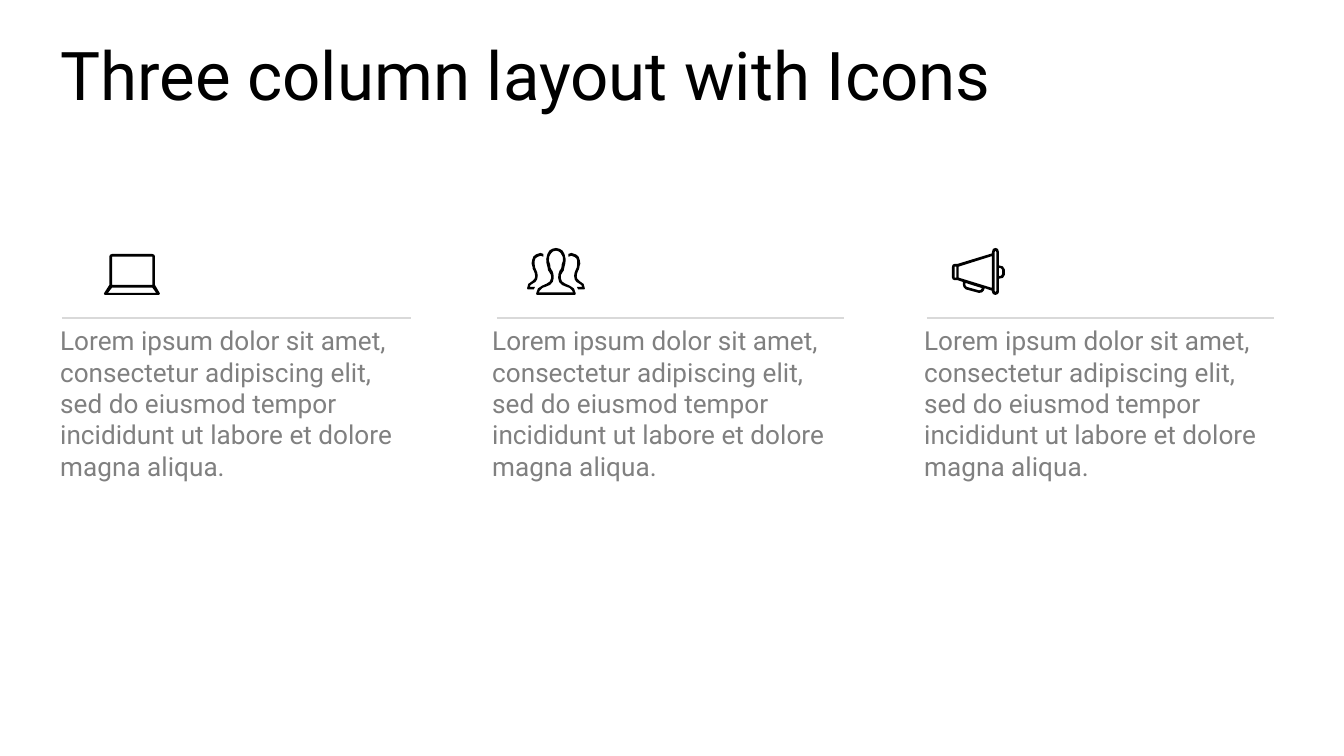
from lxml import etree
from pptx import Presentation
from pptx import util as u
from pptx.dml.color import RGBColor
from pptx.enum import shapes, text
from pptx.oxml import ns

PX = 914400 / 134.4  # EMU in one px
ICON_UNIT = PX / 10  # icon outlines are drawn in tenths of a px
COLORS = {"title": "000000", "body": "808080", "icon": "000000", "rule": "D9D9D9"}
FONT = "Roboto"
BODY = ("Lorem ipsum dolor sit amet, consectetur adipiscing elit, sed do eiusmod "
        "tempor incididunt ut labore et dolore magna aliqua.")
COLUMN_LEFT, COLUMN_PITCH, COLUMN_TOP = 47, 432, 318
RULES = [(62, 411), (497, 844), (927, 1274)]

# Laptop: outline, screen, keyboard
LAPTOP = [
    [(54, 25), (62, 7), (81, 0), (484, 0), (503, 7), (511, 25), (511, 310),
     (560, 395), (552, 410), (8, 410), (0, 395), (54, 310)],
    [(81, 27), (484, 27), (484, 310), (81, 310)],
    [(81, 336), (484, 336), (524, 390), (40, 390)],
]

# People: right halves, measured from the centre line
PEOPLE_CENTRE = 290
PERSON_OUTER = [
    (0, 0), (35, 8), (65, 25), (85, 60), (97, 110), (95, 150), (85, 190), (78, 225),
    (65, 245), (50, 270), (48, 300), (60, 335), (95, 358), (140, 378), (180, 405),
    (198, 455), (192, 470)]
PERSON_INNER = [
    (0, 27), (30, 35), (50, 55), (68, 90), (70, 130), (58, 165), (55, 195), (48, 212),
    (35, 230), (25, 260), (22, 300), (32, 340), (60, 370), (95, 385), (135, 400),
    (160, 425), (172, 445)]
PERSON_BEHIND = [
    (235, 330), (212, 305), (208, 282), (212, 255), (222, 228), (232, 210), (235, 188),
    (244, 155), (238, 120), (225, 85), (200, 65), (155, 50), (125, 60), (125, 88),
    (155, 78), (185, 90), (205, 105), (213, 130), (212, 170), (207, 200), (200, 215),
    (187, 245), (182, 280), (188, 315), (205, 340), (235, 358), (255, 372), (262, 390),
    (210, 390), (222, 416), (283, 416), (289, 405), (277, 360)]

# Megaphone: outline, knob, rim, cone, foot, handle
MEGAPHONE = [
    [(470, 175), (470, 40), (460, 10), (435, 0), (410, 10), (400, 40), (400, 55),
     (54, 160), (25, 160), (7, 168), (0, 190), (0, 295), (8, 315), (25, 322), (54, 322),
     (108, 340), (108, 365), (117, 395), (140, 415), (270, 450), (300, 445), (320, 425),
     (327, 403), (400, 428), (400, 440), (410, 462), (435, 470), (460, 460), (470, 440),
     (470, 308), (510, 300), (528, 270), (528, 215), (510, 185)],
    [(470, 200), (490, 203), (502, 220), (502, 262), (490, 278), (470, 282)],
    [(427, 40), (435, 27), (444, 40), (444, 430), (435, 443), (427, 430)],
    [(400, 82), (400, 400), (67, 297), (67, 187)],
    [(135, 350), (135, 375), (148, 390), (270, 424), (288, 420), (300, 402)],
    [(27, 187), (43, 187), (43, 297), (27, 297)],
]


def px(length):
    return u.Emu(round(length * PX))


def set_values(target, values):
    for name, value in values.items():
        setattr(target, name, value)


def place(shape, left, top, width, height):
    set_values(shape, {"left": px(left), "top": px(top),
                       "width": px(width), "height": px(height)})


def write_text(shape, words, color, size, frame_format, paragraph_format):
    frame = shape.text_frame
    set_values(frame, {"word_wrap": True, "auto_size": text.MSO_AUTO_SIZE.NONE,
                       **frame_format})
    paragraph = frame.paragraphs[0]
    set_values(paragraph, {"alignment": text.PP_ALIGN.LEFT, **paragraph_format})
    run = paragraph.add_run()
    run.text = words
    set_values(run.font, {"name": FONT, "size": u.Pt(size)})
    run.font.color.rgb = RGBColor.from_string(COLORS[color])


def add_title(slide):
    title = slide.shapes.title
    place(title, 47, 36, 1246, 90)
    write_text(title, "Three column layout with Icons", "title", 36,
               {"vertical_anchor": text.MSO_ANCHOR.MIDDLE},
               {"line_spacing": u.Pt(35)})


def add_body(slide, left):
    box = slide.shapes.add_textbox(0, 0, 0, 0)
    place(box, left, COLUMN_TOP, 383, 360)
    write_text(box, BODY, "body", 14, {"vertical_anchor": text.MSO_ANCHOR.TOP},
               {"space_before": u.Pt(10)})


def add_rule(slide, start, end):
    rule = slide.shapes.add_connector(shapes.MSO_CONNECTOR.STRAIGHT, px(start),
                                      px(COLUMN_TOP), px(end), px(COLUMN_TOP))
    rule.line.color.rgb = RGBColor.from_string(COLORS["rule"])
    rule.line.width = u.Pt(0.75)
    etree.SubElement(rule._element.spPr, ns.qn("a:effectLst"))


def people_outlines():
    def shifted(points, side):
        return [(PEOPLE_CENTRE + side * x, y) for x, y in points]

    centre = [shifted(half, 1) + shifted(half, -1)[::-1]
              for half in (PERSON_OUTER, PERSON_INNER)]
    return centre + [shifted(PERSON_BEHIND, side) for side in (1, -1)]


def add_icon(slide, left, top, outlines):
    builder = slide.shapes.build_freeform(*outlines[0][0], scale=ICON_UNIT)
    for index, outline in enumerate(outlines):
        if index:
            builder.move_to(*outline[0])
        builder.add_line_segments(outline[1:], close=True)
    icon = builder.convert_to_shape(px(left), px(top))
    icon.shadow.inherit = False
    icon.fill.solid()
    icon.fill.fore_color.rgb = RGBColor.from_string(COLORS["icon"])
    icon.line.fill.background()


def main():
    presentation = Presentation()
    set_values(presentation, {"slide_width": px(1344), "slide_height": px(756)})
    slide = presentation.slides.add_slide(presentation.slide_layouts[5])
    add_title(slide)

    # Icons above the columns
    add_icon(slide, 104, 254, LAPTOP)
    add_icon(slide, 527, 248, people_outlines())
    add_icon(slide, 952, 248, MEGAPHONE)

    # Rule and text of each column
    for column, (start, end) in enumerate(RULES):
        add_rule(slide, start, end)
        add_body(slide, COLUMN_LEFT + column * COLUMN_PITCH)

    presentation.save("out.pptx")


if __name__ == "__main__":
    main()
